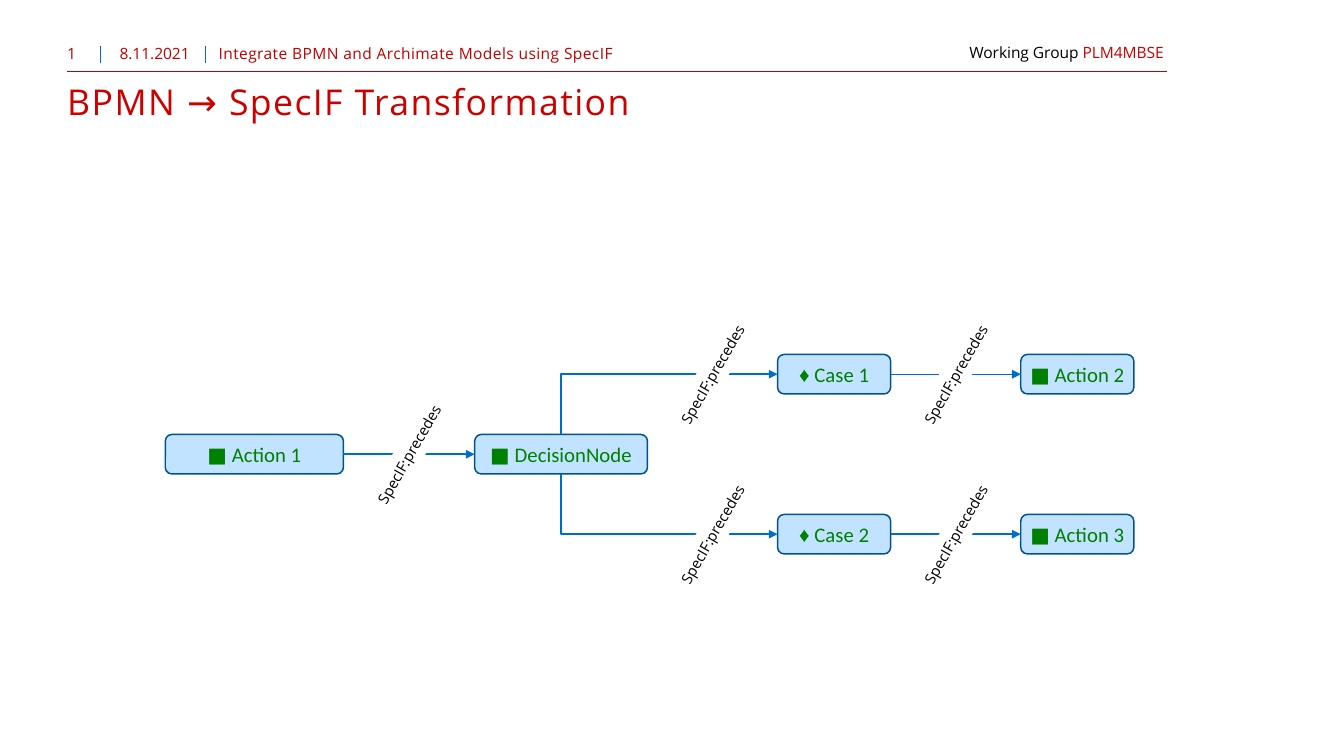
from pptx import Presentation
from pptx.dml.color import RGBColor
from pptx.enum.shapes import MSO_CONNECTOR as CONN, MSO_SHAPE as SHAPE
from pptx.enum.text import MSO_ANCHOR as ANCHOR, PP_ALIGN as ALIGN
from pptx.oxml.ns import qn
from pptx.util import Inches, Pt
from lxml.etree import SubElement

# Content
W, H = 12.6, 7.09
SANS, NODE_FONT = "Open Sans", "Calibri"
RED, DARK_RED, BLACK, WHITE, GREEN = "CD0000", "C00000", "000000", "FFFFFF", "008000"
BLUE, RULE_BLUE, NODE_FILL, NODE_LINE = "006EC7", "006CC3", "C1E3FF", "005193"
RELATION = "SpecIF:precedes"

TITLE = "BPMN → SpecIF Transformation"
HEADER = [  # text, left, width, alignment, letter spacing
    ("1", 0.63, 0.31, ALIGN.LEFT, 0),
    ("8.11.2021", 1.0, 0.9, ALIGN.CENTER, 0),
    ("Integrate BPMN and Archimate Models using SpecIF", 2.05, 9.13, ALIGN.LEFT, 0.3),
]
GROUP = [("Working Group ", SANS, BLACK), ("PLM4MBSE", SANS, RED)]
RULES = [  # x1, y1, x2, y2, colour, width
    (0.63, 0.67, 10.94, 0.67, DARK_RED, 1),
    (0.94, 0.43, 0.94, 0.59, RULE_BLUE, 0.75),
    (1.93, 0.43, 1.93, 0.59, RULE_BLUE, 0.75),
]
COLUMNS = [(1.55, 1.67), (4.45, 1.62), (7.29, 1.06), (9.57, 1.06)]  # left, width
MIDDLE, ROW_STEP, NODE_H = 4.26, 0.75, 0.37
NODES = {  # name: column, row, symbol, symbol font
    "Action 1": (0, 0, "■", NODE_FONT),
    "DecisionNode": (1, 0, "■", NODE_FONT),
    "Case 1": (2, -1, "♦", "Arial"),
    "Case 2": (2, 1, "♦", "Arial"),
    "Action 2": (3, -1, "■", NODE_FONT),
    "Action 3": (3, 1, "■", NODE_FONT),
}
EDGES = [("Action 1", "DecisionNode"), ("DecisionNode", "Case 1"),
         ("DecisionNode", "Case 2"), ("Case 1", "Action 2"), ("Case 2", "Action 3")]
LABEL_W, LABEL_H, LABEL_TURN = 1.26, 0.24, 300

prs = Presentation()
prs.slide_width, prs.slide_height = Inches(W), Inches(H)
shapes = prs.slides.add_slide(prs.slide_layouts[6]).shapes


def rgb(value):
    return RGBColor.from_string(value)


def write(sp, runs, size=10.5, align=ALIGN.LEFT, anchor=ANCHOR.TOP,
          insets=(0, 0.02, 0, 0), wrap=True, spacing=0):
    """Fill a shape with one paragraph of (text, font, colour) runs."""
    tf = sp.text_frame
    tf.word_wrap, tf.vertical_anchor = wrap, anchor
    tf.margin_left, tf.margin_top, tf.margin_right, tf.margin_bottom = map(Inches, insets)
    p = tf.paragraphs[0]
    p.alignment = align
    for text, font, color in runs:
        r = p.add_run()
        r.text = text
        r.font.name, r.font.size = font, Pt(size)
        r.font.color.rgb = rgb(color)
        if spacing:
            r.font._element.set("spc", str(int(spacing * 100)))


def text_box(left, top, width, height, runs, **fmt):
    write(shapes.add_textbox(*map(Inches, (left, top, width, height))), runs, **fmt)


def box(kind, left, top, width, height, fill, line, line_width):
    sp = shapes.add_shape(kind, *map(Inches, (left, top, width, height)))
    sp.shadow.inherit = False
    sp.fill.solid()
    sp.fill.fore_color.rgb = rgb(fill)
    sp.line.color.rgb, sp.line.width = rgb(line), Pt(line_width)
    return sp


def connector(kind, x1, y1, x2, y2, color, width=1, arrow=False):
    c = shapes.add_connector(kind, *map(Inches, (x1, y1, x2, y2)))
    c.line.color.rgb, c.line.width = rgb(color), Pt(width)
    if arrow:
        SubElement(c.line._get_or_add_ln(), qn("a:tailEnd"), type="triangle")
    SubElement(c._element.spPr, qn("a:effectLst"))
    return c


def turn_corner(c, up):
    """Make an elbow leave vertically and arrive horizontally."""
    mid_x, mid_y = c.left + c.width // 2, c.top + c.height // 2
    c.width, c.height = c.height, c.width
    c.left, c.top = mid_x - c.width // 2, mid_y - c.height // 2
    xfrm = c._element.spPr.find(qn("a:xfrm"))
    xfrm.set("rot", str((90 if up else 270) * 60000))
    xfrm.set("flipH", "1")
    xfrm.set("flipV", "1" if up else "0")
    c._element.spPr.find(qn("a:prstGeom")).set("prst", "bentConnector2")


# Header and title
for rule in RULES:
    connector(CONN.STRAIGHT, *rule)
for text, left, width, align, spacing in HEADER:
    text_box(left, 0.39, width, 0.24, [(text, SANS, DARK_RED)], align=align, spacing=spacing)
text_box(8.99, 0.35, 2.06, 0.28, GROUP, insets=(0.1, 0.05, 0.1, 0.05), wrap=False)
text_box(0.63, 0.71, 10.55, 0.76, [(TITLE, SANS, RED)], size=24,
         insets=(0, 0.04, 0, 0), spacing=1)

# Nodes
placed = {}
for name, (col, row, symbol, font) in NODES.items():
    left, width = COLUMNS[col]
    sp = box(SHAPE.ROUNDED_RECTANGLE, left, MIDDLE + row * ROW_STEP - NODE_H / 2,
             width, NODE_H, NODE_FILL, NODE_LINE, 1)
    write(sp, [(symbol, font, GREEN), (" " + name, NODE_FONT, GREEN)], size=14,
          align=ALIGN.CENTER, anchor=ANCHOR.MIDDLE, insets=(0.05,) * 4)
    placed[name] = sp

# Arrows, each with its label centred in the gap between two columns
for source, target in EDGES:
    (col, row), (next_col, next_row) = NODES[source][:2], NODES[target][:2]
    bend = next_row - row
    c = connector(CONN.ELBOW if bend else CONN.STRAIGHT, 0, 0, 1, 1, BLUE, arrow=True)
    c.begin_connect(placed[source], {-1: 0, 0: 3, 1: 2}[bend])
    c.end_connect(placed[target], 1)
    if bend:
        turn_corner(c, up=bend < 0)
    gap_x = (sum(COLUMNS[col]) + COLUMNS[next_col][0]) / 2
    y = MIDDLE + next_row * ROW_STEP
    label = box(SHAPE.RECTANGLE, gap_x - LABEL_W / 2, y - LABEL_H / 2,
                LABEL_W, LABEL_H, WHITE, WHITE, 2)
    label.rotation = LABEL_TURN
    write(label, [(RELATION, SANS, BLACK)], size=10, align=ALIGN.CENTER,
          anchor=ANCHOR.MIDDLE, insets=(0.1, 0.05, 0.1, 0.05), wrap=False)

prs.save("out.pptx")
